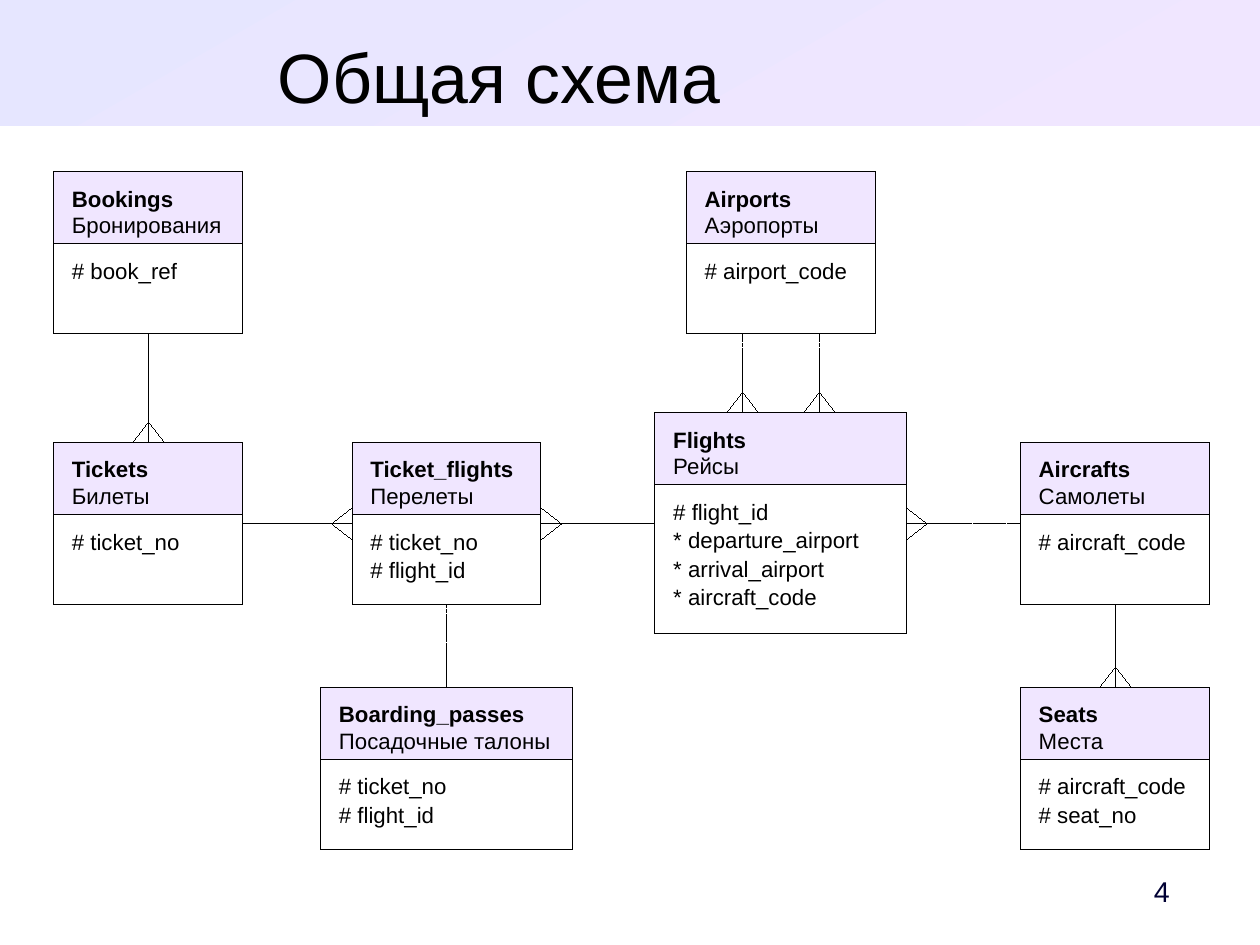
from pptx import Presentation
from pptx.dml.color import RGBColor
from pptx.enum import dml, shapes, text
from pptx.util import Pt
from lxml import etree

TITLE = "Общая схема"
PAGE = "4"
# key: (caption, fields, left, top, width, body height)
ENTITIES = {
    "Bookings": ("Бронирования", ["# book_ref"], 33.8, 108, 119, 56.7),
    "Airports": ("Аэропорты", ["# airport_code"], 432.4, 108, 119, 56.7),
    "Tickets": ("Билеты", ["# ticket_no"], 33.8, 278.6, 119, 56.7),
    "Ticket_flights": ("Перелеты", ["# ticket_no", "# flight_id"],
                       221.8, 278.6, 119, 56.7),
    "Flights": ("Рейсы", ["# flight_id", "* departure_airport",
                          "* arrival_airport", "* aircraft_code"],
                412.6, 259.8, 158.4, 93.6),
    "Aircrafts": ("Самолеты", ["# aircraft_code"], 642.8, 278.6, 119, 56.7),
    "Boarding_passes": ("Посадочные талоны", ["# ticket_no", "# flight_id"],
                        202, 432.9, 158.4, 56.7),
    "Seats": ("Места", ["# aircraft_code", "# seat_no"],
              642.8, 432.9, 119, 56.7),
}
# parent, child, direction, x or y of the line, optional at parent, many at child
RELATIONS = [
    ("Bookings", "Tickets", "down", 93.6, False, True),
    ("Tickets", "Ticket_flights", "right", 329.8, False, True),
    ("Flights", "Ticket_flights", "left", 329.8, False, True),
    ("Aircrafts", "Flights", "left", 329.8, True, True),
    ("Airports", "Flights", "down", 467.8, True, True),
    ("Airports", "Flights", "down", 516.2, True, True),
    ("Ticket_flights", "Boarding_passes", "down", 281.3, True, False),
    ("Aircrafts", "Seats", "down", 702.7, False, True),
]
FOOT_TURN = {"down": 0, "left": 90, "right": 270}
SLIDE_W, SLIDE_H, BAND_H, HEAD_H = 793.7, 595.28, 79.2, 45.4
FOOT_W, FOOT_H = 20.2, 13
HAIRLINE = Pt(0.01)
FONT = "Arial"
BLACK = RGBColor(0x00, 0x00, 0x00)
WHITE = RGBColor(0xFF, 0xFF, 0xFF)
NAVY = RGBColor(0x00, 0x00, 0x33)
BLUE = RGBColor(0xE6, 0xE6, 0xFF)
LILAC = RGBColor(0xF0, 0xE6, 0xFF)


def add_preset(slide, kind, left, top, width, height, fill=None):
    shape = slide.shapes.add_shape(kind, Pt(left), Pt(top), Pt(width), Pt(height))
    shape.shadow.inherit = False
    if fill is None:
        shape.fill.background()
    else:
        shape.fill.solid()
        shape.fill.fore_color.rgb = fill
    shape.line.color.rgb = BLACK
    shape.line.width = HAIRLINE
    return shape


def write(shape, lines, size, margins, align=text.PP_ALIGN.LEFT, color=BLACK,
          bold_first=False, after=0, anchor=text.MSO_ANCHOR.TOP):
    """Fill a shape with one paragraph per line; margins: left, top, right, bottom."""
    frame = shape.text_frame
    frame.word_wrap = True
    frame.vertical_anchor = anchor
    (frame.margin_left, frame.margin_top,
     frame.margin_right, frame.margin_bottom) = map(Pt, margins)
    for i, line in enumerate(lines):
        paragraph = frame.add_paragraph() if i else frame.paragraphs[0]
        paragraph.alignment = align
        paragraph.space_after = Pt(after)
        run = paragraph.add_run()
        run.text = line
        run.font.name = FONT
        run.font.size = Pt(size)
        run.font.bold = bold_first and i == 0
        run.font.color.rgb = color


def add_line(slide, start, end, dashed=False):
    line = slide.shapes.add_connector(shapes.MSO_CONNECTOR.STRAIGHT,
                                      *map(Pt, start + end))
    line.line.color.rgb = BLACK
    line.line.width = HAIRLINE
    if dashed:
        line.line.dash_style = dml.MSO_LINE.SQUARE_DOT
    properties = line._element.spPr
    etree.SubElement(properties, "{%s}effectLst" % properties.nsmap["a"])


def edges(key):
    _, _, left, top, width, body = ENTITIES[key]
    return left, top, left + width, top + HEAD_H + body


def add_relation(slide, parent, child, direction, at, optional, many):
    p_left, _, p_right, p_bottom = edges(parent)
    c_left, c_top, c_right, _ = edges(child)
    begin, end = {"down": (p_bottom, c_top), "left": (p_left, c_right),
                  "right": (p_right, c_left)}[direction]

    def point(along):
        return (at, along) if direction == "down" else (along, at)

    middle = (begin + end) / 2
    if optional:
        add_line(slide, point(begin), point(middle), dashed=True)
        add_line(slide, point(middle), point(end))
    else:
        add_line(slide, point(begin), point(end))
    if many:
        toward_parent = 1 if direction == "left" else -1
        x, y = point(end + toward_parent * FOOT_H / 2)
        foot = add_preset(slide, shapes.MSO_SHAPE.ISOSCELES_TRIANGLE,
                          x - FOOT_W / 2, y - FOOT_H / 2, FOOT_W, FOOT_H)
        foot.rotation = FOOT_TURN[direction]


def add_entity(slide, name, caption, fields, left, top, width, body):
    margins = (11.5, 8.5, 8.5, 8.5)
    head_box = add_preset(slide, shapes.MSO_SHAPE.RECTANGLE,
                          left, top, width, HEAD_H, LILAC)
    write(head_box, [name, caption], 14, margins, bold_first=True)
    body_box = add_preset(slide, shapes.MSO_SHAPE.RECTANGLE,
                          left, top + HEAD_H, width, body, WHITE)
    write(body_box, fields, 14, margins, after=1.1)


def main():
    deck = Presentation()
    deck.slide_width, deck.slide_height = Pt(SLIDE_W), Pt(SLIDE_H)
    slide = deck.slides.add_slide(deck.slide_layouts[6])

    band = add_preset(slide, shapes.MSO_SHAPE.RECTANGLE, 0, 0, SLIDE_W, BAND_H)
    band.line.fill.background()
    band.fill.gradient()
    band.fill.gradient_angle = 300
    for stop, color in zip(band.fill.gradient_stops, (BLUE, LILAC)):
        stop.color.rgb = color

    title = slide.shapes.add_textbox(Pt(33.8), Pt(21), Pt(561.6), Pt(49.7))
    write(title, [TITLE], 44, (0, 0, 0, 0), text.PP_ALIGN.CENTER)
    page = slide.shapes.add_textbox(Pt(697.7), Pt(544.3), Pt(62.6), Pt(33.8))
    write(page, [PAGE], 18, (7.2, 3.6, 23.5, 3.6), text.PP_ALIGN.RIGHT, NAVY,
          anchor=text.MSO_ANCHOR.MIDDLE)

    for relation in RELATIONS:
        add_relation(slide, *relation)
    for name, details in ENTITIES.items():
        add_entity(slide, name, *details)
    deck.save("out.pptx")


if __name__ == "__main__":
    main()
